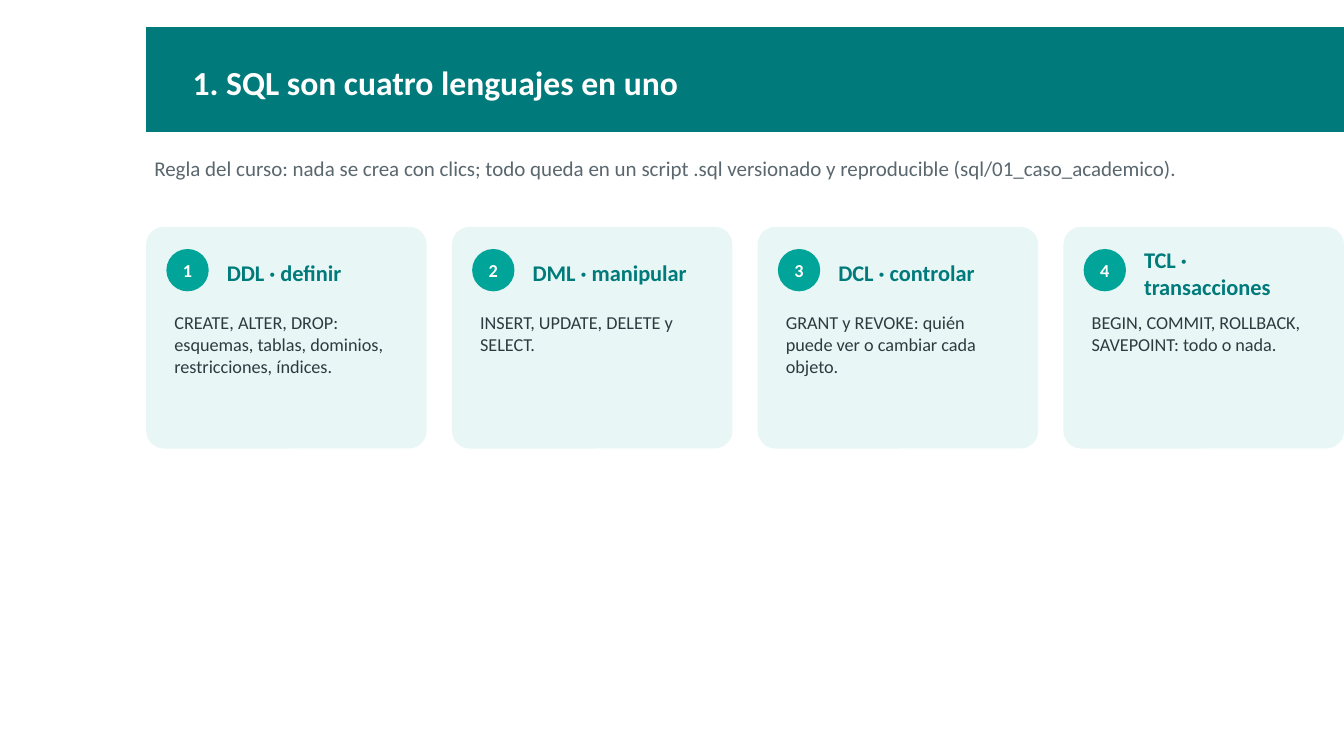
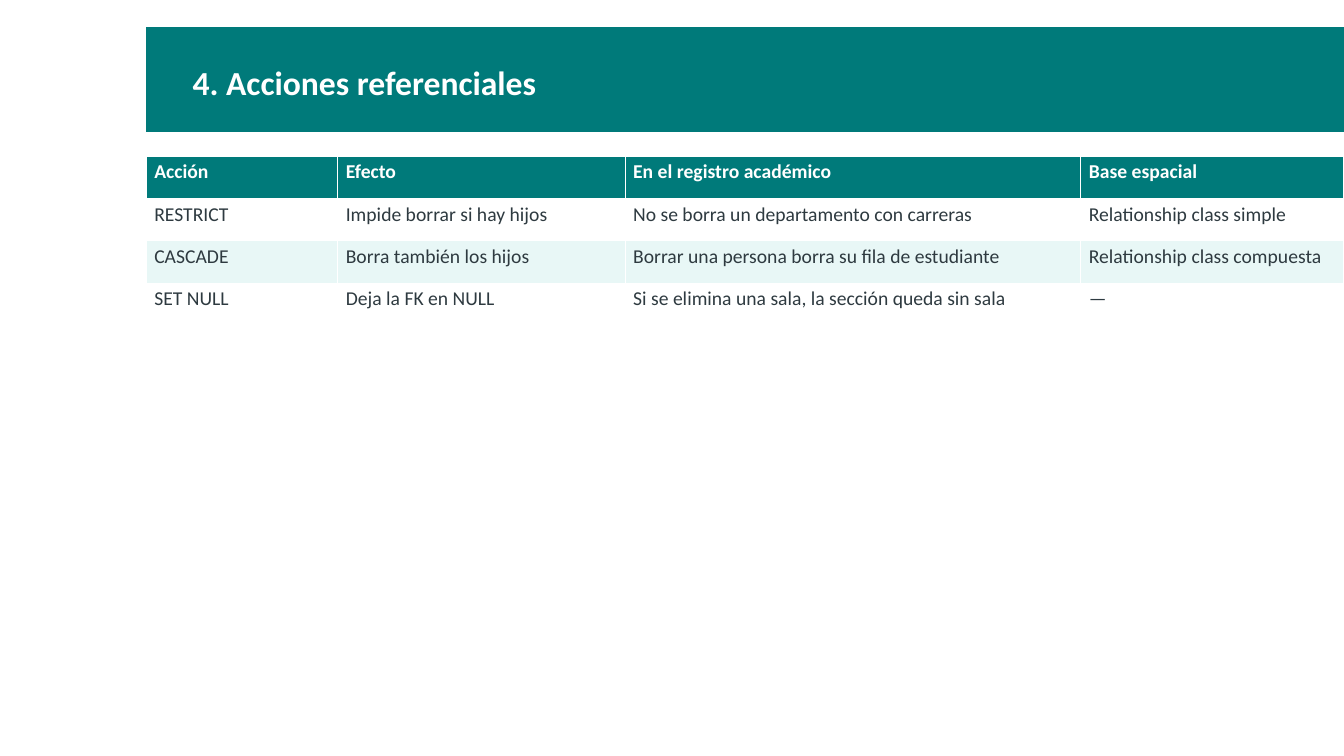
"""Build two slides on SQL: its four sublanguages and its referential actions."""
from dataclasses import dataclass

from pptx import Presentation
from pptx.dml.color import RGBColor
from pptx.enum.shapes import MSO_SHAPE as Preset
from pptx.enum.text import MSO_ANCHOR as Anchor, MSO_AUTO_SIZE as AutoSize, PP_ALIGN as Align
from pptx.util import Inches, Pt


@dataclass(frozen=True)
class Theme:
    font: str = "Calibri"
    teal: str = "007A7A"
    accent: str = "00A499"
    tint: str = "E8F7F6"
    white: str = "FFFFFF"
    ink: str = "2E3A40"
    muted: str = "5A676E"
    title_size: int = 24
    heading_size: int = 16
    lead_size: int = 15
    table_size: int = 14
    body_size: int = 13


THEME = Theme()
LEFT, WIDTH = 1.45, 11.88
CARD_TOP, CARD_HEIGHT, CARD_GAP = 2.25, 2.2, 0.25
CARD_PADDING, BADGE = 0.2, 0.42
ROW_HEIGHT = 0.42
INSETS = {"margin_left": 0.08, "margin_top": 0.04, "margin_right": 0.08, "margin_bottom": 0.04}

LANGUAGES_TITLE = "1. SQL son cuatro lenguajes en uno"
LEAD = (
    "Regla del curso: nada se crea con clics; todo queda en un script .sql "
    "versionado y reproducible (sql/01_caso_academico)."
)
LANGUAGES = [
    ("DDL · definir", "CREATE, ALTER, DROP: esquemas, tablas, dominios, restricciones, índices."),
    ("DML · manipular", "INSERT, UPDATE, DELETE y SELECT."),
    ("DCL · controlar", "GRANT y REVOKE: quién puede ver o cambiar cada objeto."),
    ("TCL · transacciones", "BEGIN, COMMIT, ROLLBACK, SAVEPOINT: todo o nada."),
]

ACTIONS_TITLE = "4. Acciones referenciales"
ACTION_COLUMNS = [1.9, 2.85, 4.52, 2.61]
ACTIONS = [
    ("Acción", "Efecto", "En el registro académico", "Base espacial"),
    ("RESTRICT", "Impide borrar si hay hijos", "No se borra un departamento con carreras",
     "Relationship class simple"),
    ("CASCADE", "Borra también los hijos", "Borrar una persona borra su fila de estudiante",
     "Relationship class compuesta"),
    ("SET NULL", "Deja la FK en NULL", "Si se elimina una sala, la sección queda sin sala", "—"),
]


def set_insets(target, scale=1):
    for name, value in INSETS.items():
        setattr(target, name, Inches(value * scale))


def write(frame, text, size, color, bold=False, align=Align.LEFT):
    frame.text = text
    paragraph = frame.paragraphs[0]
    paragraph.alignment = align
    font = paragraph.runs[0].font
    for name, value in {"name": THEME.font, "size": Pt(size), "bold": bold}.items():
        setattr(font, name, value)
    font.color.rgb = RGBColor.from_string(color)


def format_frame(frame, anchor):
    settings = {
        "word_wrap": True,
        "auto_size": AutoSize.SHAPE_TO_FIT_TEXT,
        "vertical_anchor": anchor,
    }
    for name, value in settings.items():
        setattr(frame, name, value)
    set_insets(frame)


def add_text(slide, box, text, size, color, bold=False, anchor=Anchor.TOP):
    frame = slide.shapes.add_textbox(*map(Inches, box)).text_frame
    format_frame(frame, anchor)
    write(frame, text, size, color, bold)


def add_block(slide, preset, box, color):
    shape = slide.shapes.add_shape(preset, *map(Inches, box))
    shape.shadow.inherit = False
    shape.fill.solid()
    shape.fill.fore_color.rgb = RGBColor.from_string(color)
    shape.line.fill.background()
    return shape


def add_titled_slide(presentation, text):
    slide = presentation.slides.add_slide(presentation.slide_layouts[5])
    title = slide.shapes.title
    band = add_block(slide, Preset.RECTANGLE, (LEFT, 0.27, WIDTH, 1.04), THEME.teal)
    title.element.addprevious(band.element)
    box = {"left": 1.83, "top": 0.38, "width": 10.9, "height": 0.87}
    for name, value in box.items():
        setattr(title, name, Inches(value))
    format_frame(title.text_frame, Anchor.MIDDLE)
    write(title.text_frame, text, THEME.title_size, THEME.white, bold=True)
    return slide


def add_card(slide, left, width, number, heading, body):
    card = add_block(slide, Preset.ROUNDED_RECTANGLE, (left, CARD_TOP, width, CARD_HEIGHT), THEME.tint)
    card.adjustments[0] = 0.08
    inner = left + CARD_PADDING
    badge = add_block(slide, Preset.OVAL, (inner, CARD_TOP + 0.22, BADGE, BADGE), THEME.accent)
    set_insets(badge.text_frame, scale=0)
    badge.text_frame.vertical_anchor = Anchor.MIDDLE
    write(badge.text_frame, str(number), THEME.body_size, THEME.white, True, Align.CENTER)
    add_text(slide, (inner + BADGE + 0.1, CARD_TOP + 0.18, width - 0.9, 0.55), heading,
             THEME.heading_size, THEME.teal, bold=True, anchor=Anchor.MIDDLE)
    add_text(slide, (inner, CARD_TOP + 0.8, width - 2 * CARD_PADDING, 1.3), body,
             THEME.body_size, THEME.ink)


def add_languages_slide(presentation):
    slide = add_titled_slide(presentation, LANGUAGES_TITLE)
    add_text(slide, (LEFT, 1.5, WIDTH, 0.7), LEAD, THEME.lead_size, THEME.muted)
    count = len(LANGUAGES)
    width = (WIDTH - CARD_GAP * (count - 1)) / count
    for index, (heading, body) in enumerate(LANGUAGES):
        add_card(slide, LEFT + index * (width + CARD_GAP), width, index + 1, heading, body)


def add_actions_slide(presentation):
    slide = add_titled_slide(presentation, ACTIONS_TITLE)
    box = (LEFT, 1.55, WIDTH, ROW_HEIGHT * len(ACTIONS))
    table = slide.shapes.add_table(len(ACTIONS), len(ACTION_COLUMNS), *map(Inches, box)).table
    table.horz_banding = False
    for column, width in zip(table.columns, ACTION_COLUMNS):
        column.width = Inches(width)
    for row_index, texts in enumerate(ACTIONS):
        header = row_index == 0
        body_fill = THEME.white if row_index % 2 else THEME.tint
        for column_index, text in enumerate(texts):
            cell = table.cell(row_index, column_index)
            cell.fill.solid()
            cell.fill.fore_color.rgb = RGBColor.from_string(THEME.teal if header else body_fill)
            set_insets(cell)
            write(cell.text_frame, text, THEME.table_size,
                  THEME.white if header else THEME.ink, bold=header)


def main():
    presentation = Presentation()
    presentation.slide_width = Inches(13.33)
    presentation.slide_height = Inches(7.5)
    add_languages_slide(presentation)
    add_actions_slide(presentation)
    presentation.save("out.pptx")


if __name__ == "__main__":
    main()
